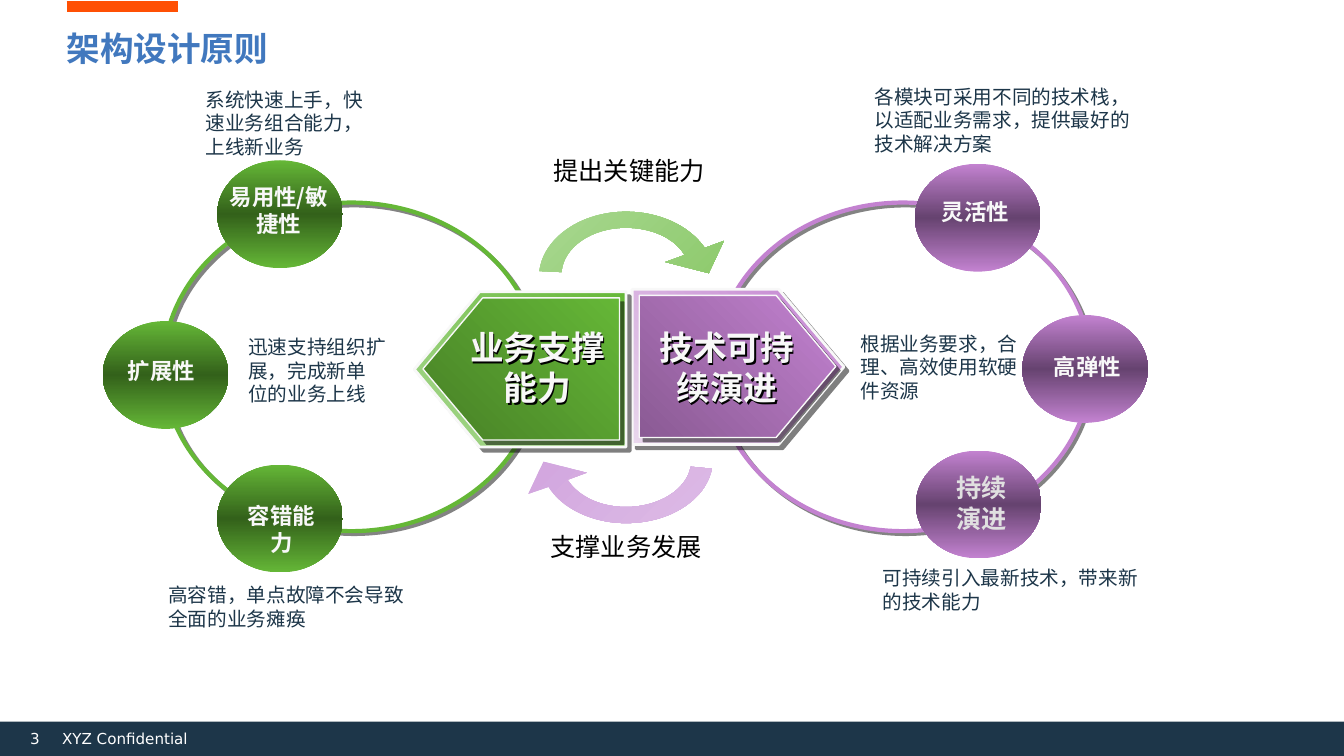
from dataclasses import dataclass

from lxml import etree
from pptx import Presentation
from pptx import util as u
from pptx.dml.color import RGBColor
from pptx.enum import shapes, text
from pptx.oxml import ns

# Grid: one cell is a tenth of an inch
COLS, ROWS = 133.3, 75
CELL = u.Inches(0.1)
FONT = "Noto Sans CJK SC"
COLORS = {
    "accent": "FF5004", "navy": "1D3649", "title": "4178BE", "white": "FFFFFF",
    "label": "F8F8F8", "muted": "E0E0E0", "black": "000000", "ring_shadow": "080808",
    "green": "65B737", "green_mid": "33611A", "green_deep": "478026",
    "green_pale": "A8D890", "green_soft": "92CE74", "green_arrow": "73BE4A",
    "purple": "C382D0", "purple_mid": "664370", "purple_deep": "8A5A94",
    "purple_pale": "E9D7ED", "purple_soft": "D5ABE0", "purple_arrow": "C790D7",
}
CENTER, LEFT = text.PP_ALIGN.CENTER, text.PP_ALIGN.LEFT
Box = tuple[float, float, float, float]


@dataclass
class Label:
    box: Box
    lines: tuple[str, ...]
    size: float = 16
    color: str = "label"
    bold: bool = True
    align: text.PP_ALIGN = CENTER
    font: str = FONT
    shadow: bool = False
    inset: bool = True


@dataclass
class Node:
    left: float
    top: float
    hue: str
    label: Label


@dataclass
class Plate:
    box: Box
    stops: tuple[str, str]
    angle: int
    line_width: float
    flip: bool


@dataclass
class Arrow:
    start: tuple[float, float]
    steps: list[tuple[float, ...]]  # two numbers: line, six: curve
    stops: tuple[str, str]


def rgb(name: str) -> RGBColor:
    return RGBColor.from_string(COLORS[name])


def cells(values) -> list[int]:
    return [round(v * CELL) for v in values]


def add_xml(parent, tag: str, **attrs):
    return etree.SubElement(parent, ns.qn(tag), {k: str(v) for k, v in attrs.items()})


def add_shadow(s, color: str, distance: float, alpha: int = 50) -> None:
    """Hard 45 degree shadow."""
    s.shadow.inherit = False
    effects = s.element.spPr.find(ns.qn("a:effectLst"))
    shadow = add_xml(effects, "a:outerShdw", blurRad=0, dist=u.Pt(distance),
                     dir=45 * 60000, algn="ctr", rotWithShape=0)
    color_xml = add_xml(shadow, "a:srgbClr", val=COLORS[color])
    add_xml(color_xml, "a:alpha", val=alpha * 1000)


def set_gradient(s, names: tuple[str, ...], angle: int, alpha: int = 100) -> None:
    s.fill.gradient()
    grad = s.element.spPr.find(ns.qn("a:gradFill"))
    for child in list(grad):
        grad.remove(child)
    stops = add_xml(grad, "a:gsLst")
    for i, name in enumerate(names):
        stop = add_xml(stops, "a:gs", pos=100000 * i // (len(names) - 1))
        color = add_xml(stop, "a:srgbClr", val=COLORS[name])
        if alpha < 100:
            add_xml(color, "a:alpha", val=alpha * 1000)
    add_xml(grad, "a:lin", ang=angle * 60000, scaled=0)


def add_shape(slide, kind, box: Box, line: str = "", width: float = 0):
    s = slide.shapes.add_shape(kind, *cells(box))
    s.shadow.inherit = False
    s.fill.background()
    if line:
        s.line.color.rgb, s.line.width = rgb(line), u.Pt(width)
    else:
        s.line.fill.background()
    return s


def add_label(slide, label: Label):
    s = slide.shapes.add_textbox(*cells(label.box))
    tf = s.text_frame
    tf.word_wrap = True
    if label.shadow:
        add_shadow(s, "black", 1.5, 100)
    if not label.inset:
        for side in ("left", "right", "top", "bottom"):
            setattr(tf, f"margin_{side}", 0)
    for i, line in enumerate(label.lines):
        p = tf.add_paragraph() if i else tf.paragraphs[0]
        p.alignment = label.align
        r = p.add_run()
        r.text = line
        formats = {"size": u.Pt(label.size), "bold": label.bold, "name": label.font}
        for name, value in formats.items():
            setattr(r.font, name, value)
        r.font.color.rgb = rgb(label.color)
        ea = etree.Element(ns.qn("a:ea"), {"typeface": FONT})
        r._r.get_or_add_rPr().find(ns.qn("a:latin")).addnext(ea)
    return s


def add_node(slide, node: Node) -> None:
    s = add_shape(slide, shapes.MSO_SHAPE.OVAL, (node.left, node.top, 12.45, 10.7))
    set_gradient(s, (node.hue, f"{node.hue}_mid", node.hue), 90)
    add_label(slide, node.label)


def add_plate(slide, plate: Plate) -> None:
    s = add_shape(slide, shapes.MSO_SHAPE.PENTAGON, plate.box, "label", plate.line_width)
    s.adjustments[0] = 0.42
    set_gradient(s, plate.stops, plate.angle)
    if plate.flip:
        s.element.spPr.find(ns.qn("a:xfrm")).set("flipH", "1")
    add_shadow(s, "black", 4.2)


def add_arrow(slide, arrow: Arrow) -> None:
    builder = slide.shapes.build_freeform(*cells(arrow.start))
    builder.add_line_segments([cells(step[-2:]) for step in arrow.steps], close=True)
    s = builder.convert_to_shape()
    # Bend the curved steps
    segments = list(s.element.spPr.iter(ns.qn("a:lnTo")))
    for segment, step in zip(segments, arrow.steps):
        if len(step) == 6:
            curve = etree.Element(ns.qn("a:cubicBezTo"))
            knots = cells(step)
            for x, y in zip(knots[::2], knots[1::2]):
                add_xml(curve, "a:pt", x=x - s.left, y=y - s.top)
            segment.getparent().replace(segment, curve)
    s.shadow.inherit = False
    s.line.fill.background()
    set_gradient(s, arrow.stops, 45, alpha=80)


def note(box: Box, *lines: str) -> Label:
    return Label(box, lines, 14, "navy", False, LEFT)


RINGS = [((70.9, 20.1, 37.3, 32.6), "purple"), ((16.2, 20.1, 37.3, 32.6), "green")]
NODES = [
    Node(21.55, 15.9, "green", Label((21.75, 17.7, 11.8, 6.4), ("易用性/敏捷性",))),
    Node(90.75, 16.25, "purple", Label((90.1, 19.15, 13.3, 3.7), ("灵活性",))),
    Node(21.55, 46.1, "green", Label((22.95, 49.3, 9.9, 3.7), ("容错能力",))),
    Node(10.2, 31.85, "green", Label((10.1, 34.9, 11.8, 3.7), ("扩展性",))),
    Node(90.85, 44.7, "purple",
         Label((93.85, 46.4, 7.9, 7.1), ("持续", "演进"), 18, "muted", align=LEFT)),
    Node(101.4, 31.25, "purple", Label((101.2, 34.55, 13.3, 3.7), ("高弹性",))),
]
PLATES = [
    Plate((62.7, 28.7, 21, 15.4), ("purple_pale", "purple"), 315, 2, False),
    Plate((63.4, 29.3, 19.5, 14.1), ("purple_deep", "purple"), 315, 1, False),
    Plate((41.1, 28.95, 21, 15.4), ("green", "green_pale"), 45, 2, True),
    Plate((41.95, 29.55, 19.5, 14.1), ("green", "green_deep"), 45, 1, True),
]
ARROWS = [
    Arrow((67.9, 25.3), [
        (66.9, 23.6, 64.6, 22.6, 62.1, 22.6), (58.7, 22.6, 55.9, 24.5, 55.7, 27),
        (53.5, 26.9), (53.9, 23.6, 57.6, 21, 62.1, 21),
        (65.4, 21, 68.4, 22.4, 69.9, 24.6), (71.8, 23.9), (70.3, 27.1), (66, 26)],
        ("green_soft", "green_arrow")),
    Arrow((56.3, 47.6), [
        (57.4, 49.3, 59.6, 50.3, 62.1, 50.3), (65.3, 50.3, 68.1, 48.6, 68.5, 46.3),
        (70.6, 46.5), (70, 49.6, 66.4, 51.9, 62.1, 51.9),
        (58.8, 51.9, 55.8, 50.5, 54.4, 48.3), (52.4, 49), (53.9, 45.8), (58.2, 46.9)],
        ("purple_arrow", "purple_soft")),
]
LABELS = [
    Label((44.4, 31.95, 17.8, 9.1), ("业务支撑能力",), 24, shadow=True),
    Label((62.8, 31.95, 18.6, 9.1), ("技术可持续演进",), 24, shadow=True),
    Label((50.9, 14.9, 23, 4), ("提出关键能力",), 18, "black", False),
    Label((50.6, 52.2, 23, 4), ("支撑业务发展",), 18, "black", False),
    note((19.4, 8.2, 18.9, 8.1), "系统快速上手，快速业务组合能力，上线新业务"),
    note((23.65, 32.75, 17, 8.1), "迅速支持组织扩展，完成新单", "位的业务上线"),
    note((15.7, 57.35, 26.3, 5.7), "高容错，单点故障不会导致全面的业务瘫痪"),
    note((85.75, 7.9, 28.8, 8.1), "各模块可采用不同的技术栈，以适配业务需求，提供最好的技术解决方案"),
    note((84.35, 32.4, 18.9, 8.1), "根据业务要求，合理、高效使用软硬件资源"),
    note((86.55, 55.7, 28.1, 5.7), "可持续引入最新技术，带来新的技术能力"),
    Label((6.6, 2.8, 120, 4.5), ("架构设计原则",), 24, "title", align=LEFT,
          font="Arial", inset=False),
]


def add_frame(slide) -> None:
    """Accent line, footer band and footer text."""
    accent = slide.shapes.add_connector(shapes.MSO_CONNECTOR.STRAIGHT,
                                        *cells((6.6, 0.65, 17.7, 0.65)))
    accent.line.color.rgb, accent.line.width = rgb("accent"), u.Pt(8)
    add_xml(accent.element.spPr, "a:effectLst")
    band = add_shape(slide, shapes.MSO_SHAPE.RECTANGLE, (0, 71.6, COLS, 3.4))
    band.fill.solid()
    band.fill.fore_color.rgb = rgb("navy")
    s = add_label(slide, Label((1.65, 71.8, 25.5, 2.4), ("\t3\tXYZ Confidential",), 10.8,
                               "white", False, LEFT, "DejaVu Sans", inset=False))
    s.text_frame.vertical_anchor = text.MSO_ANCHOR.BOTTOM
    tabs = add_xml(s.text_frame.paragraphs[0]._p.get_or_add_pPr(), "a:tabLst")
    for position, align in ((2.3, "r"), (4.5, "l")):
        add_xml(tabs, "a:tab", pos=round(position * CELL), algn=align)


def main() -> None:
    prs = Presentation()
    prs.slide_width, prs.slide_height = cells((COLS, ROWS))
    slide = prs.slides.add_slide(prs.slide_layouts[6])
    add_frame(slide)
    # Rings with their nodes
    for box, hue in RINGS:
        add_shadow(add_shape(slide, shapes.MSO_SHAPE.OVAL, box, hue, 3), "ring_shadow", 2.8)
    for node in NODES:
        add_node(slide, node)
    # Centre plates and curved arrows
    for plate in PLATES:
        add_plate(slide, plate)
    for arrow in ARROWS:
        add_arrow(slide, arrow)
    # Headings and notes
    for label in LABELS:
        add_label(slide, label)
    prs.save("out.pptx")


if __name__ == "__main__":
    main()
